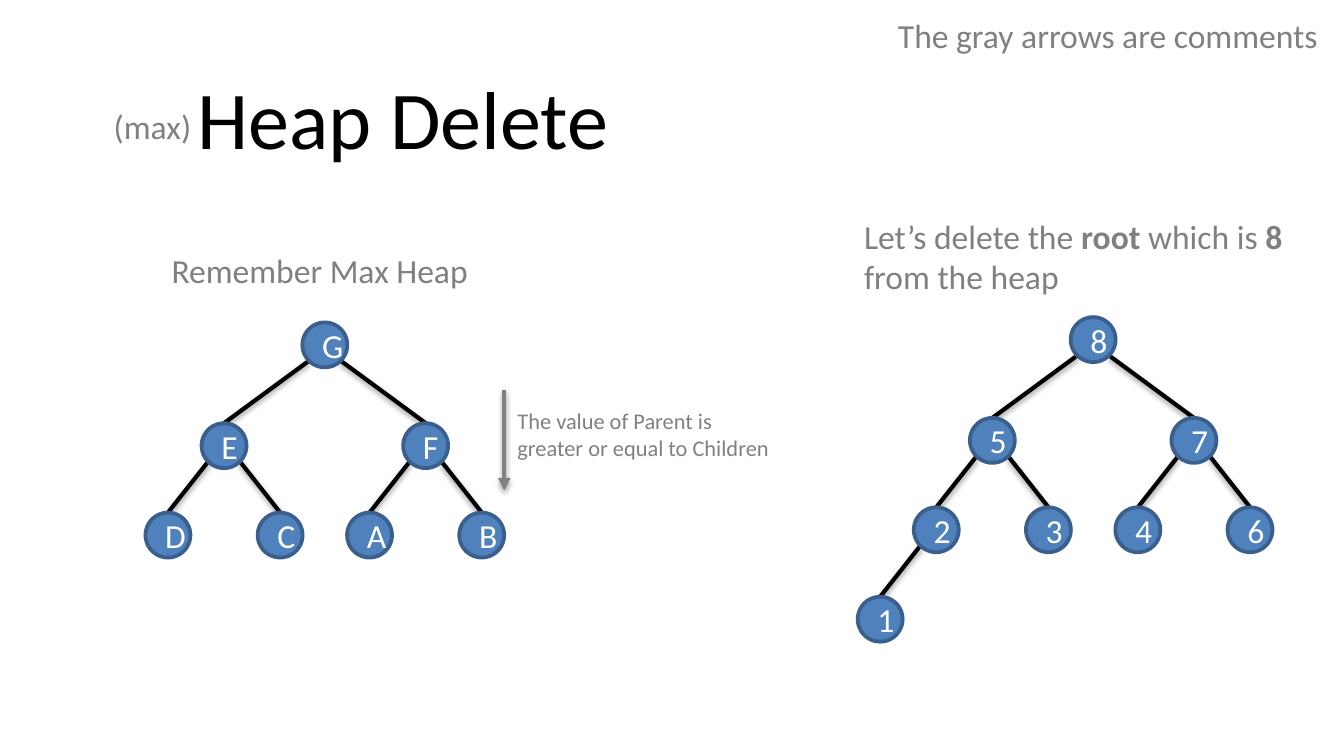
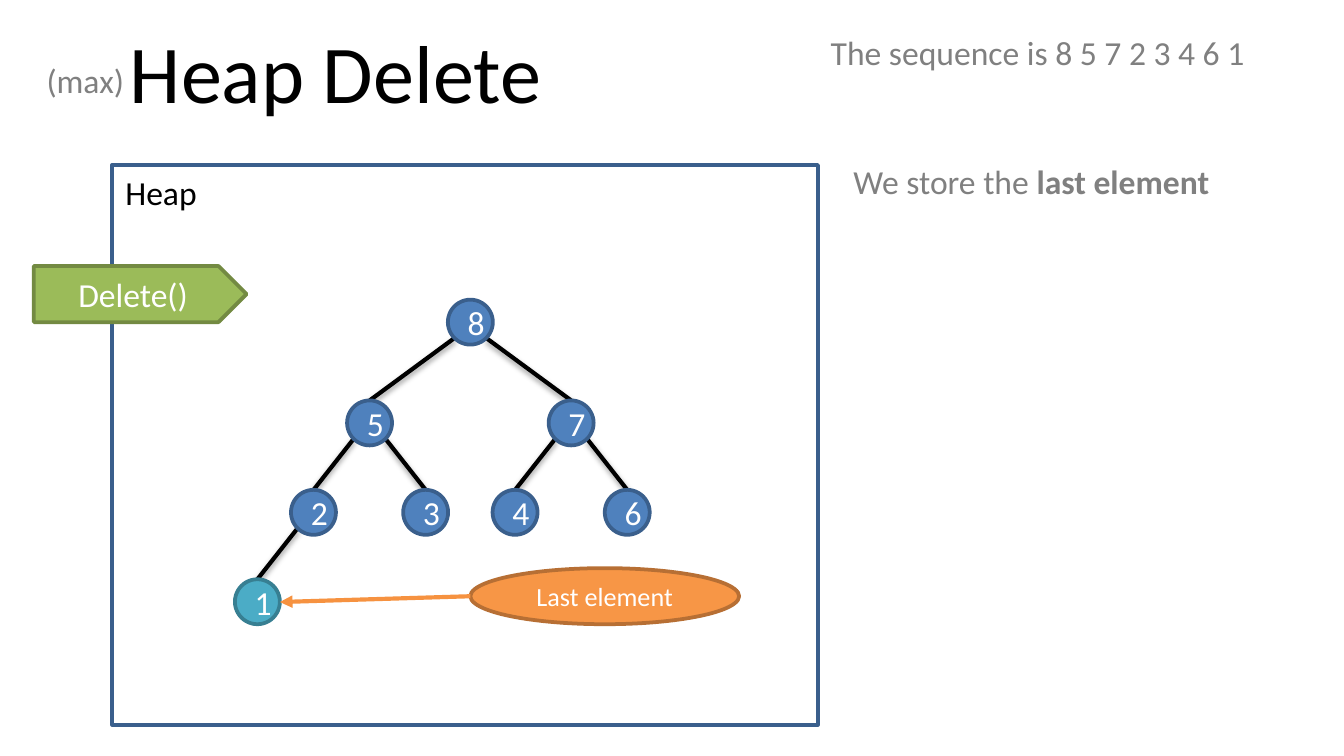
from dataclasses import dataclass
from math import sqrt

from lxml.etree import SubElement
from pptx import Presentation
from pptx.dml.color import RGBColor
from pptx.enum.shapes import MSO_CONNECTOR, MSO_SHAPE
from pptx.enum.text import MSO_ANCHOR, PP_ALIGN
from pptx.oxml.ns import qn
from pptx.shapes.autoshape import Shape
from pptx.shapes.connector import Connector
from pptx.slide import Slide
from pptx.util import Cm, Pt


@dataclass(frozen=True)
class Paint:
    fill: str | None
    line: str


@dataclass(frozen=True)
class Theme:
    font: str = "Calibri"
    title_size: float = 44
    body_size: float = 18
    label_size: float = 14
    small_size: float = 12
    outline: float = 2
    stroke: float = 2.25
    black: str = "000000"
    white: str = "FFFFFF"
    gray: str = "808080"
    pointer: str = "F69240"
    node: Paint = Paint("4F81BD", "3A5F8C")
    last_node: Paint = Paint("4BACC6", "377F92")
    operation: Paint = Paint("9BBB59", "738A42")
    callout: Paint = Paint("F79646", "B76F34")
    panel: Paint = Paint(None, "3A5F8C")


@dataclass(frozen=True)
class Box:
    left: float
    top: float
    width: float = 8.54
    height: float = 1.02

    def lengths(self) -> tuple[Cm, Cm, Cm, Cm]:
        return Cm(self.left), Cm(self.top), Cm(self.width), Cm(self.height)


@dataclass(frozen=True)
class Point:
    x: float
    y: float


@dataclass(frozen=True)
class Heap:
    values: str
    root: Point
    last_paint: Paint


THEME = Theme()
NODE_SIZE = 0.85
LEVEL_STEPS = (Point(1.905, 1.905), Point(1.06, 1.69), Point(1.06, 1.69))


def write_text(
    shape: Shape,
    text: str,
    *,
    size: float = THEME.body_size,
    color: str = THEME.gray,
    align: PP_ALIGN = PP_ALIGN.LEFT,
    anchor: MSO_ANCHOR = MSO_ANCHOR.TOP,
    wrap: bool = True,
) -> None:
    frame = shape.text_frame
    frame.word_wrap = wrap
    frame.vertical_anchor = anchor
    for index, line in enumerate(text.split("\n")):
        paragraph = frame.add_paragraph() if index else frame.paragraphs[0]
        paragraph.alignment = align
        for position, piece in enumerate(line.split("*")):
            if not piece:
                continue
            run = paragraph.add_run()
            run.text = piece
            run.font.name = THEME.font
            run.font.size = Pt(size)
            run.font.bold = position % 2 == 1
            run.font.color.rgb = RGBColor.from_string(color)


def add_text(slide: Slide, box: Box, text: str, **text_format) -> None:
    write_text(slide.shapes.add_textbox(*box.lengths()), text, **text_format)


def add_block(
    slide: Slide, kind: MSO_SHAPE, box: Box, paint: Paint, text: str, **text_format
) -> None:
    shape = slide.shapes.add_shape(kind, *box.lengths())
    shape.shadow.inherit = False
    if paint.fill:
        shape.fill.solid()
        shape.fill.fore_color.rgb = RGBColor.from_string(paint.fill)
    else:
        shape.fill.background()
    shape.line.color.rgb = RGBColor.from_string(paint.line)
    shape.line.width = Pt(THEME.outline)
    centred = {
        "color": THEME.white,
        "align": PP_ALIGN.CENTER,
        "anchor": MSO_ANCHOR.MIDDLE,
    }
    write_text(shape, text, **(centred | text_format))


def set_effects(connector: Connector, shadow: bool) -> None:
    effects = SubElement(connector._element.spPr, qn("a:effectLst"))
    if shadow:
        outer = SubElement(
            effects,
            qn("a:outerShdw"),
            blurRad=str(Pt(3.1)),
            dist=str(Pt(1.6)),
            dir="5400000",
            rotWithShape="0",
        )
        color = SubElement(outer, qn("a:srgbClr"), val=THEME.black)
        SubElement(color, qn("a:alpha"), val="38000")


def add_line(
    slide: Slide,
    start: Point,
    end: Point,
    *,
    color: str = THEME.black,
    arrow: bool = False,
    shadow: bool = True,
) -> None:
    connector = slide.shapes.add_connector(
        MSO_CONNECTOR.STRAIGHT, Cm(start.x), Cm(start.y), Cm(end.x), Cm(end.y)
    )
    connector.line.color.rgb = RGBColor.from_string(color)
    connector.line.width = Pt(THEME.stroke)
    if arrow:
        SubElement(connector.line._get_or_add_ln(), qn("a:tailEnd"), type="triangle")
    set_effects(connector, shadow)


def add_heap(slide: Slide, heap: Heap) -> None:
    radius = NODE_SIZE / 2
    diagonal = radius / sqrt(2)
    centers = [heap.root]
    for index in range(1, len(heap.values)):
        parent = centers[(index - 1) // 2]
        side = -1 if index % 2 else 1
        step = LEVEL_STEPS[(index + 1).bit_length() - 2]
        center = Point(parent.x + side * step.x, parent.y + step.y)
        centers.append(center)
        add_line(
            slide,
            Point(center.x, center.y - radius),
            Point(parent.x + side * diagonal, parent.y + diagonal),
        )
    paints = [THEME.node] * (len(centers) - 1) + [heap.last_paint]
    for value, center, paint in zip(heap.values, centers, paints):
        box = Box(center.x - radius, center.y - radius, NODE_SIZE, NODE_SIZE)
        add_block(slide, MSO_SHAPE.OVAL, box, paint, value)


def add_title(slide: Slide, corner: Point) -> None:
    add_text(
        slide,
        Box(corner.x, corner.y, 9.31, 2.38),
        "Heap Delete",
        size=THEME.title_size,
        color=THEME.black,
        align=PP_ALIGN.CENTER,
        anchor=MSO_ANCHOR.MIDDLE,
    )
    add_text(slide, Box(corner.x - 1.06, corner.y + 0.85, 2.12), "(max)")


def build_introduction(slide: Slide) -> None:
    add_title(slide, Point(2.96, 1.02))
    add_text(slide, Box(16.72, 0.15), "The gray arrows are comments")
    add_text(
        slide,
        Box(16.08, 3.96, height=1.8),
        "Let’s delete the *root* which is *8* from the heap",
    )
    add_text(
        slide,
        Box(2.96, 4.6, 6.17),
        "Remember Max Heap",
        align=PP_ALIGN.CENTER,
        wrap=False,
    )
    add_heap(slide, Heap("GEFDCAB", Point(6.14, 6.52), THEME.node))
    add_text(
        slide,
        Box(9.53, 7.57, 6.77, 1.28),
        "The value of Parent is\ngreater or equal to Children",
        size=THEME.small_size,
    )
    add_line(
        slide, Point(9.53, 7.37), Point(9.53, 9.27), color=THEME.gray, arrow=True
    )
    add_heap(slide, Heap("85723461", Point(20.66, 6.42), THEME.node))


def build_last_element(slide: Slide) -> None:
    add_title(slide, Point(1.69, 0.15))
    add_text(slide, Box(15.45, 0.48), "The sequence is 8 5 7 2 3 4 6 1")
    add_block(
        slide,
        MSO_SHAPE.RECTANGLE,
        Box(2.12, 3.12, 13.34, 10.58),
        THEME.panel,
        "Heap",
        color=THEME.black,
        align=PP_ALIGN.LEFT,
        anchor=MSO_ANCHOR.TOP,
    )
    add_block(
        slide,
        MSO_SHAPE.PENTAGON,
        Box(0.64, 5.03, 4.02, 1.06),
        THEME.operation,
        "Delete()",
    )
    add_heap(slide, Heap("85723461", Point(8.89, 6.09), THEME.last_node))
    add_block(
        slide,
        MSO_SHAPE.OVAL,
        Box(8.89, 10.74, 5.08, 1.06),
        THEME.callout,
        "Last element",
        size=THEME.label_size,
    )
    add_line(
        slide,
        Point(8.89, 11.27),
        Point(5.29, 11.38),
        color=THEME.pointer,
        arrow=True,
        shadow=False,
    )
    add_text(slide, Box(15.88, 2.92), "We store the *last element*")


def main() -> None:
    presentation = Presentation()
    presentation.slide_width = Cm(25.4)
    presentation.slide_height = Cm(14.29)
    blank = presentation.slide_layouts[6]
    for build in (build_introduction, build_last_element):
        build(presentation.slides.add_slide(blank))
    presentation.save("out.pptx")


main()
